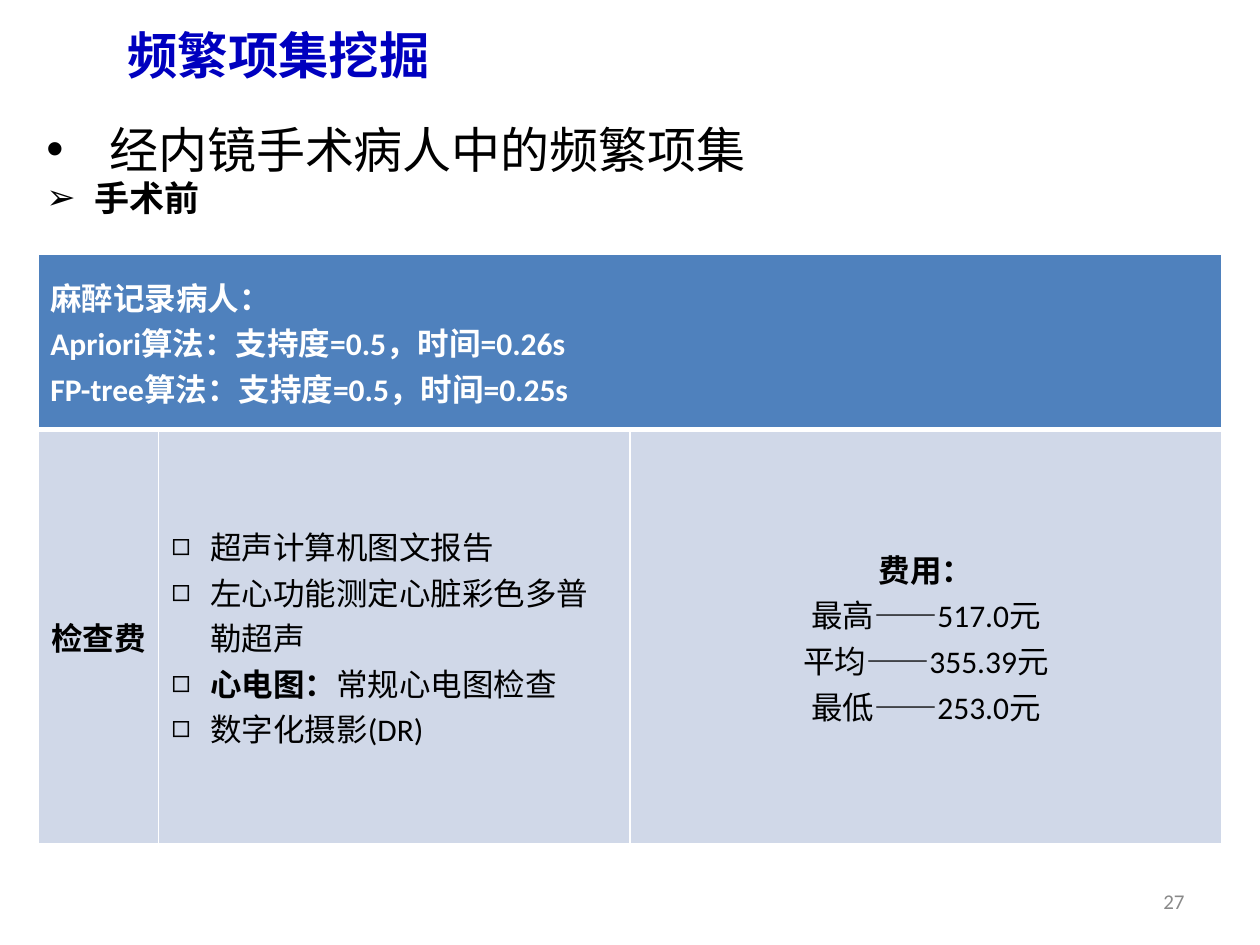
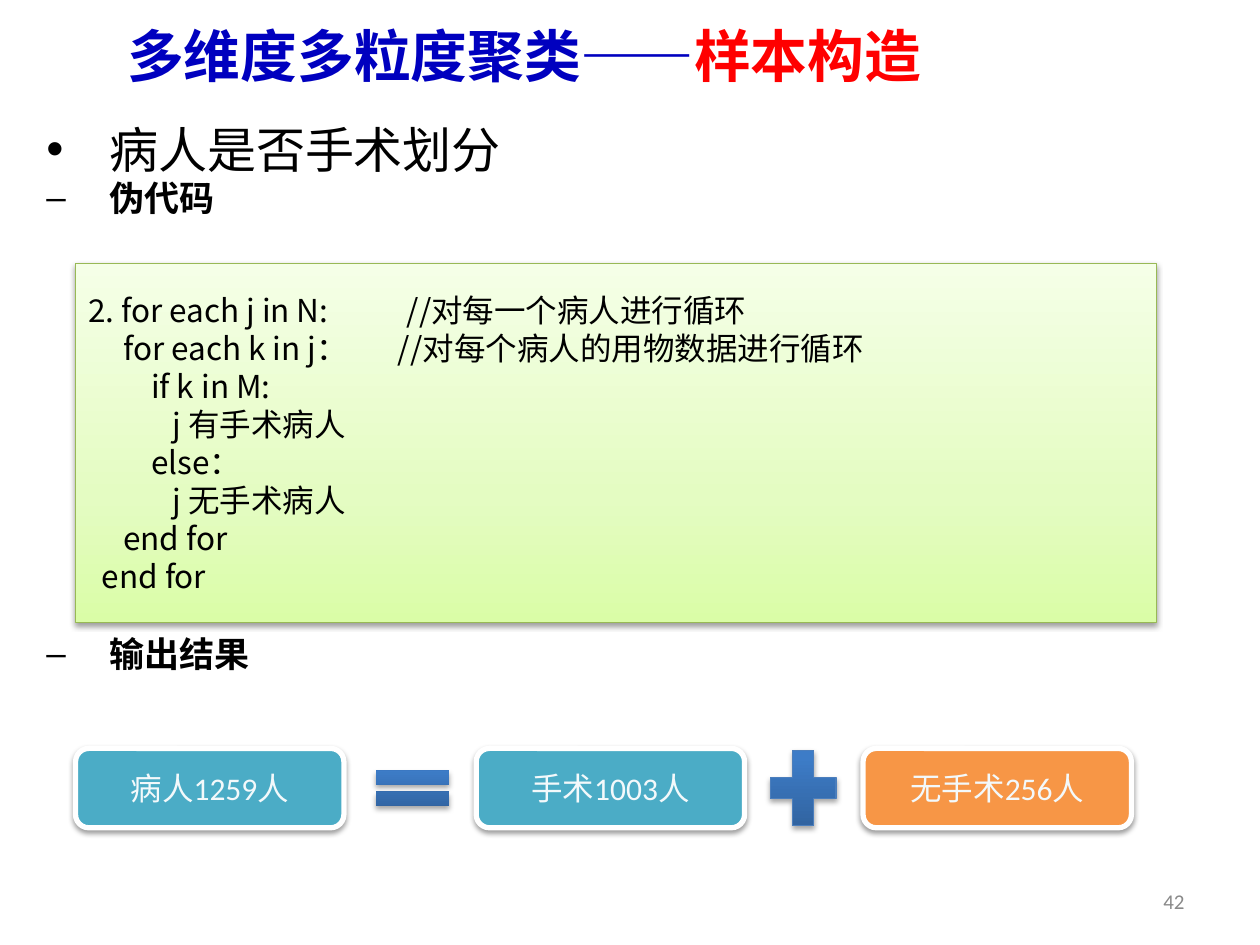
from lxml import etree
from pptx import Presentation
from pptx.dml.color import RGBColor
from pptx.enum import shapes, text
from pptx.oxml import ns, parse_xml
from pptx.util import Inches, Pt

BLUE = RGBColor(0x00, 0x00, 0xBF)
RED = RGBColor(0xFF, 0x00, 0x00)
BLACK = RGBColor(0x00, 0x00, 0x00)
WHITE = RGBColor(0xFF, 0xFF, 0xFF)
GRAY = RGBColor(0x89, 0x89, 0x89)
HEAD = RGBColor(0x4F, 0x81, 0xBD)
PALE = RGBColor(0xD0, 0xD8, 0xE8)
TEAL = RGBColor(0x4B, 0xAC, 0xC6)
ORANGE = RGBColor(0xF7, 0x96, 0x46)
ICE = RGBColor(0xF3, 0xF9, 0xFB)
LEAF = RGBColor(0x98, 0xB9, 0x55)
STEEL = RGBColor(0x4B, 0x7E, 0xBC)
GREENS = [(0, "DAFDA7"), (35, "E4FCC2"), (100, "F5FFE7")]
BLUES = [(0, "2F5F99"), (80, "3D7CC7"), (100, "3A7CCB")]

SC, JP = "Noto Sans CJK SC", "Noto Sans CJK JP"
LEFT, CENTER, RIGHT = (text.PP_ALIGN.LEFT, text.PP_ALIGN.CENTER,
                       text.PP_ALIGN.RIGHT)
MIDDLE, TOP = text.MSO_ANCHOR.MIDDLE, text.MSO_ANCHOR.TOP

TOPIC = {"size": 28, "name": JP}
SUB = {"size": 20, "bold": True}

MINING = {
    "title": [("频繁项集挖掘", {"size": 28.8})],
    "page": "27",
    "points": [
        ("•", 0.5, 5.6, "经内镜手术病人中的频繁项集", TOPIC),
        ("➢", 0.38, 4, "手术前", {**SUB, "name": "Arial"}),
    ],
}
SAMPLE = {
    "title": [("多维度多粒度聚类——", {"size": 32.4}),
              ("样本构造", {"size": 32.4, "color": RED})],
    "page": "42",
    "points": [
        ("•", 0.5, 5.6, "病人是否手术划分", TOPIC),
        ("–", 0.5, 4, "伪代码", SUB),
        ("–", 0.5, 241, "输出结果", SUB),
    ],
}

COLS, ROWS = (0.96, 3.74, 4.7), (1.39, 3.29)
BOLD = {"bold": True}
INTRO = ["麻醉记录病人：", "Apriori算法：支持度=0.5，时间=0.26s",
         "FP-tree算法：支持度=0.5，时间=0.25s"]
EXAMS = [
    [("超声计算机图文报告", {})],
    [("左心功能测定心脏彩色多普勒超声", {})],
    [("心电图：", BOLD), ("常规心电图检查", {})],
    [("数字化摄影(DR)", {})],
]
COSTS = [
    [("费用：", BOLD)],
    [("最高——517.0元", {})],
    [("平均——355.39元", {})],
    [("最低——253.0元", {})],
]

CODE = [
    ((2.53,), "2. for each j in N:\t//对每一个病人进行循环"),
    ((0.28, 2.46), "\tfor each k in j：\t//对每个病人的用物数据进行循环"),
    ((0.5,), "\tif k in M:"),
    ((0.67,), "\tj 有手术病人"),
    ((0.5,), "\telse："),
    ((0.67,), "\tj 无手术病人"),
    ((0.28,), "\tend for"),
    ((0.11,), "\tend for"),
]
GROUPS = [(0.6, "病人1259人", TEAL), (3.78, "手术1003人", TEAL),
          (6.85, "无手术256人", ORANGE)]
SIGNS = [(shapes.MSO_SHAPE.MATH_EQUAL, (2.88, 6.02, 0.79, 0.47), None),
         (shapes.MSO_SHAPE.MATH_PLUS, (6.02, 5.85, 0.71, 0.81), STEEL)]


def box(*nums):
    return [Inches(n) for n in nums]


def style(run, **fmt):
    fmt = {"name": "Calibri", "size": 18, "bold": False,
           "color": BLACK, **fmt}
    run.font.color.rgb = fmt.pop("color")
    fmt["size"] = Pt(fmt["size"])
    for key, val in fmt.items():
        setattr(run.font, key, val)
    face = JP if fmt["name"] == JP else SC
    run.font._element.find(ns.qn("a:latin")).addnext(
        parse_xml(f'<a:ea {ns.nsdecls("a")} typeface="{face}"/>'))


def write(frame, paras, align=LEFT, **fmt):
    for i, runs in enumerate(paras):
        para = frame.paragraphs[0] if i == 0 else frame.add_paragraph()
        para.alignment = align
        for words, extra in runs:
            run = para.add_run()
            run.text = words
            style(run, **{**fmt, **extra})
    return frame.paragraphs


def bullet(para, mark, hang):
    props = para._p.get_or_add_pPr()
    props.set("marL", str(Inches(hang)))
    props.set("indent", str(-Inches(hang)))
    etree.SubElement(props, ns.qn("a:buFont")).set("typeface", "Arial")
    etree.SubElement(props, ns.qn("a:buChar")).set("char", mark)


def tabs(para, stops):
    row = etree.SubElement(para._p.get_or_add_pPr(), ns.qn("a:tabLst"))
    for stop in stops:
        tab = etree.SubElement(row, ns.qn("a:tab"))
        tab.set("pos", str(Inches(stop)))
        tab.set("algn", "l")


def label(slide, area, paras, anchor=TOP, **fmt):
    frame = slide.shapes.add_textbox(*box(*area)).text_frame
    frame.word_wrap = True
    frame.vertical_anchor = anchor
    return write(frame, paras, **fmt)


def start(deck, data):
    slide = deck.slides.add_slide(deck.slide_layouts[5])
    head = slide.shapes.title
    head.left, head.top, head.width, head.height = box(0.91, 0, 9, 0.87)
    head.text_frame.vertical_anchor = MIDDLE
    head.text_frame.auto_size = text.MSO_AUTO_SIZE.NONE
    write(head.text_frame, [data["title"]], name=SC, bold=True, color=BLUE)
    points = data["points"]
    paras = label(slide, (0.27, 0.99, 9.23, 5.71),
                  [[(words, fmt)] for *_, words, fmt in points])
    for para, (mark, hang, gap, *_) in zip(paras, points):
        para.line_spacing = 0.8
        para.space_before = Pt(gap)
        bullet(para, mark, hang)
    label(slide, (7.17, 6.95, 2.33, 0.4), [[(data["page"], {})]], MIDDLE,
          align=RIGHT, size=12, color=GRAY)
    return slide


def blend(shape, stops):
    marks = "".join(f'<a:gs pos="{pos * 1000}"><a:srgbClr val="{tint}"/></a:gs>'
                    for pos, tint in stops)
    shape._element.spPr.find(ns.qn("a:prstGeom")).addnext(parse_xml(
        f'<a:gradFill {ns.nsdecls("a")}><a:gsLst>{marks}</a:gsLst>'
        '<a:lin ang="16200000" scaled="0"/></a:gradFill>'))


def block(slide, kind, area, fill, line, width, shade=(38, 1.6)):
    shape = slide.shapes.add_shape(kind, *box(*area))
    if isinstance(fill, list):
        blend(shape, fill)
    else:
        shape.fill.solid()
        shape.fill.fore_color.rgb = fill
    if line is None:
        shape.line.fill.background()
    else:
        shape.line.color.rgb = line
        shape.line.width = Pt(width)
    shape.shadow.inherit = False
    alpha, dist = shade
    shape._element.spPr.find(ns.qn("a:effectLst")).append(parse_xml(
        f'<a:outerShdw {ns.nsdecls("a")} blurRad="{Pt(3.1)}" '
        f'dist="{Pt(dist)}" dir="5400000" rotWithShape="0">'
        f'<a:srgbClr val="000000"><a:alpha val="{alpha * 1000}"/>'
        '</a:srgbClr></a:outerShdw>'))
    frame = shape.text_frame
    frame.word_wrap = True
    frame.vertical_anchor = MIDDLE
    return frame


def paint(cell, fill, widths):
    props = cell._tc.get_or_add_tcPr()
    for side, width in widths.items():
        props.append(parse_xml(
            f'<a:ln{side} {ns.nsdecls("a")} w="{Pt(width)}"><a:solidFill>'
            f'<a:srgbClr val="{WHITE}"/></a:solidFill></a:ln{side}>'))
    cell.fill.solid()
    cell.fill.fore_color.rgb = fill
    cell.vertical_anchor = MIDDLE


def mining(deck):
    slide = start(deck, MINING)
    area = box(0.3, 2.02, sum(COLS), sum(ROWS))
    table = slide.shapes.add_table(len(ROWS), len(COLS), *area).table
    for col, width in zip(table.columns, COLS):
        col.width = Inches(width)
    for row, height in zip(table.rows, ROWS):
        row.height = Inches(height)
    for i in range(len(COLS)):
        paint(table.cell(0, i), HEAD, {"L": 1, "R": 1, "T": 1, "B": 3})
        paint(table.cell(1, i), PALE, {"L": 1, "R": 1, "T": 3, "B": 1})
    table.cell(0, 0).merge(table.cell(0, 2))
    write(table.cell(0, 0).text_frame, [[(line, {})] for line in INTRO],
          bold=True, color=WHITE)
    fee, exams, costs = [table.cell(1, i).text_frame for i in range(3)]
    write(fee, [[("检查费", BOLD)]], CENTER)
    for para in write(exams, EXAMS):
        bullet(para, "◻", 0.31)
    write(costs, COSTS, CENTER)


def sample(deck):
    slide = start(deck, SAMPLE)
    frame = block(slide, shapes.MSO_SHAPE.RECTANGLE, (0.6, 2.09, 8.58, 2.85),
                  GREENS, LEAF, 0.75)
    paras = write(frame, [[(line, {})] for _, line in CODE], name=SC)
    for para, (stops, _) in zip(paras, CODE):
        para.line_spacing = Pt(21.7)
        tabs(para, stops)
    for left, words, fill in GROUPS:
        frame = block(slide, shapes.MSO_SHAPE.ROUNDED_RECTANGLE,
                      (left, 5.94, 2.13, 0.63), fill, WHITE, 3)
        write(frame, [[(words, {})]], CENTER, color=ICE)
    for kind, area, line in SIGNS:
        block(slide, kind, area, BLUES, line, 0.75, (35, 1.8))


def main():
    deck = Presentation()
    deck.slide_width, deck.slide_height = box(10, 7.5)
    mining(deck)
    sample(deck)
    deck.save("out.pptx")


if __name__ == "__main__":
    main()
